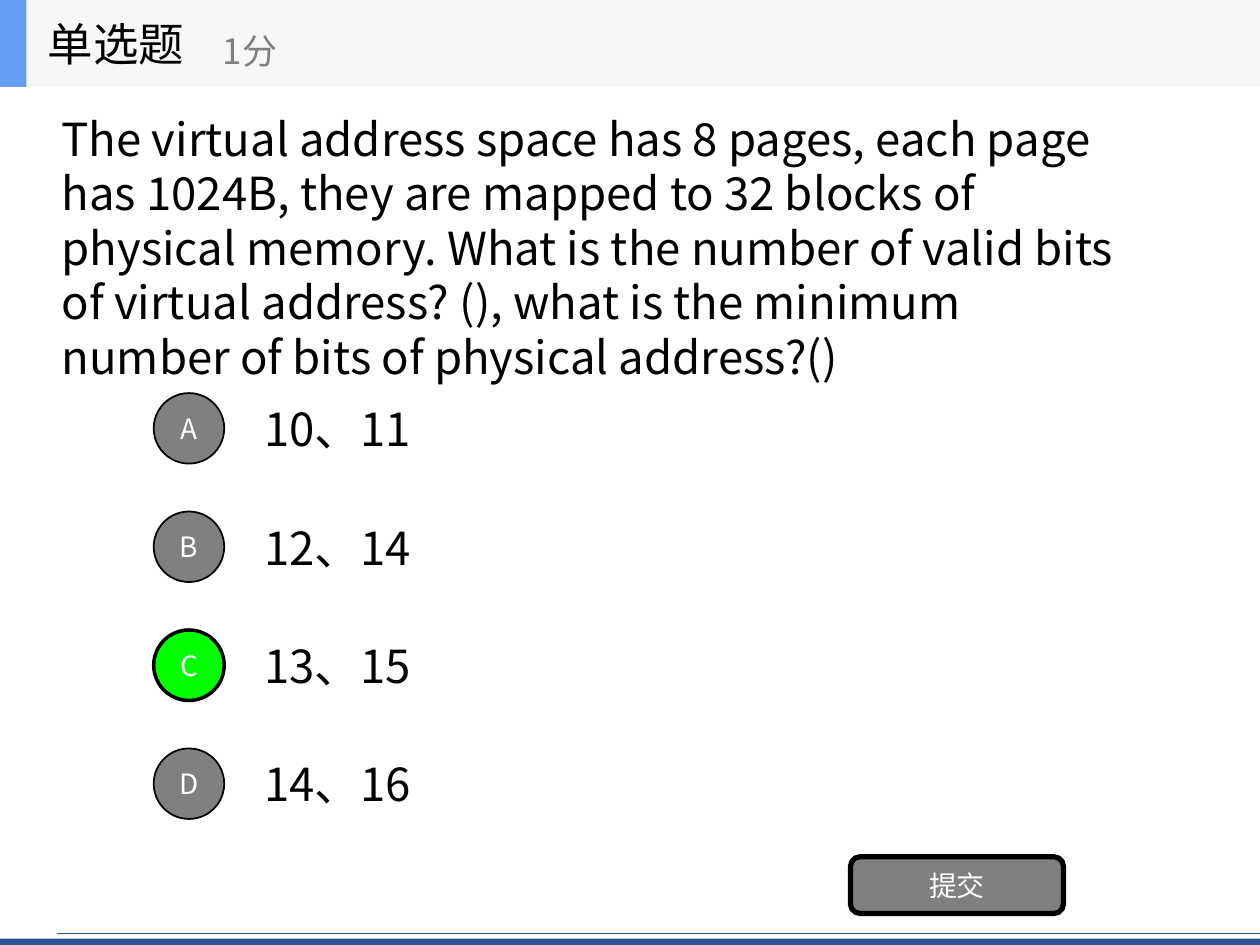
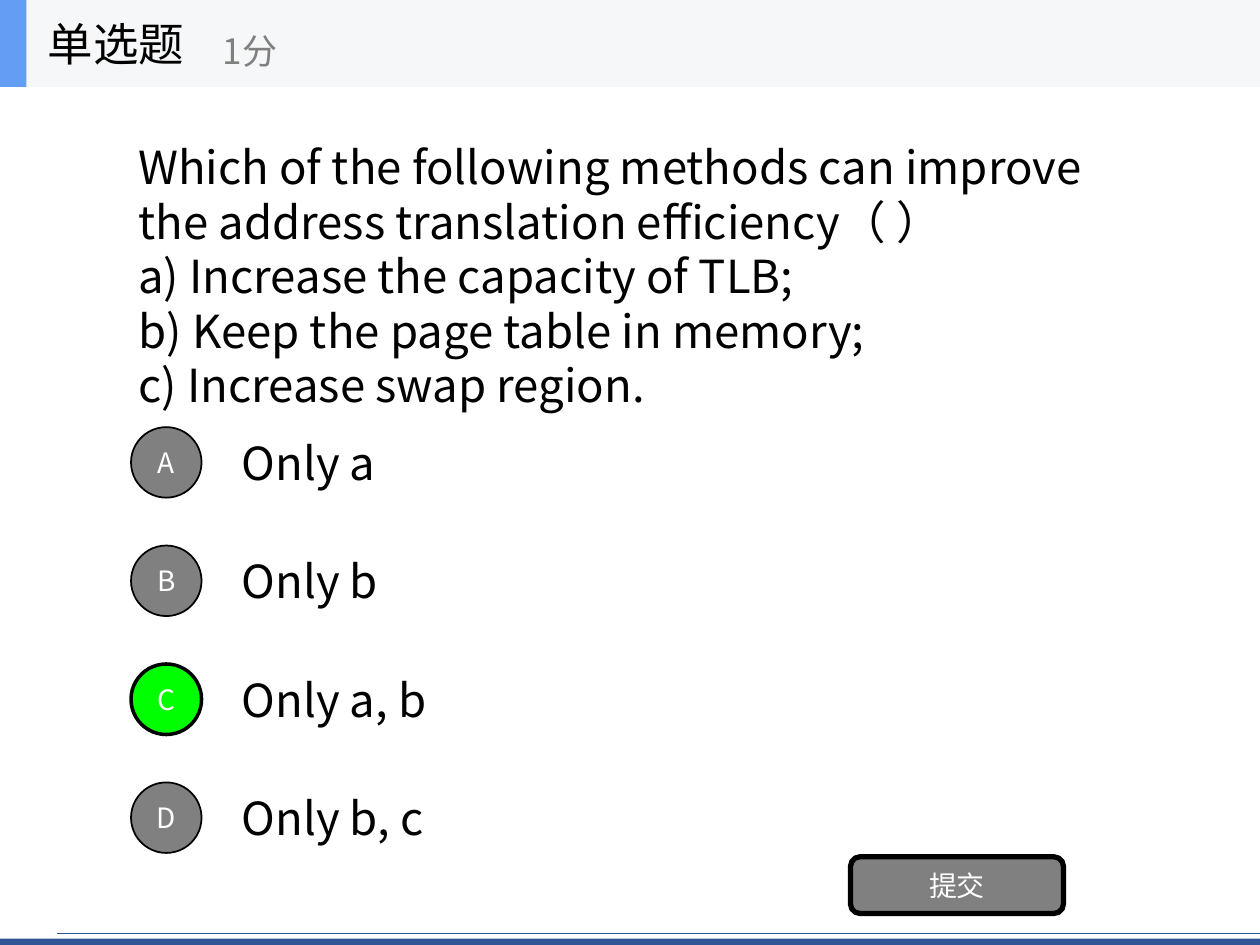
from dataclasses import dataclass

from lxml.etree import SubElement
from pptx import Presentation
from pptx.dml.color import RGBColor
from pptx.enum.shapes import MSO_CONNECTOR, MSO_SHAPE
from pptx.enum.text import MSO_ANCHOR, PP_ALIGN
from pptx.oxml.ns import qn
from pptx.util import Pt

PX = 9144  # EMU in one px, 100 px to the inch


@dataclass(frozen=True)
class Theme:
    font: str = "Noto Sans CJK SC"
    black: RGBColor = RGBColor(0x00, 0x00, 0x00)
    white: RGBColor = RGBColor(0xFF, 0xFF, 0xFF)
    grey: RGBColor = RGBColor(0x80, 0x80, 0x80)
    green: RGBColor = RGBColor(0x00, 0xFF, 0x00)
    navy: RGBColor = RGBColor(0x2F, 0x55, 0x97)
    blue: RGBColor = RGBColor(0x63, 0x9E, 0xF4)
    band: RGBColor = RGBColor(0xF6, 0xF7, 0xF8)
    body_size: int = 26
    score_size: int = 20
    button_size: int = 16


THEME = Theme()


def add_panel(shapes, kind, box, fill, outline=0):
    """Add a filled preset shape; outline is the black line's width in points."""
    shape = shapes.add_shape(kind, *(length * PX for length in box))
    shape.shadow.inherit = False
    shape.fill.solid()
    shape.fill.fore_color.rgb = fill
    if outline:
        shape.line.color.rgb = THEME.black
        shape.line.width = Pt(outline)
    else:
        shape.line.fill.background()
    return shape


def write_text(shape, lines, size, color, alignment=PP_ALIGN.LEFT):
    frame = shape.text_frame
    frame.word_wrap = True
    frame.vertical_anchor = MSO_ANCHOR.MIDDLE
    frame.text = "\n".join(lines)
    for paragraph in frame.paragraphs:
        paragraph.alignment = alignment
        paragraph.font.size = Pt(size)
        paragraph.font.color.rgb = color
        paragraph.font.name = THEME.font
        properties = paragraph._p.pPr.find(qn("a:defRPr"))
        SubElement(properties, qn("a:ea")).set("typeface", THEME.font)


QUESTIONS = [
    {
        "lines": [
            "The virtual address space has 8 pages, each page has 1024B, "
            "they are mapped to 32 blocks of physical memory. What is the "
            "number of valid bits of virtual address? (), what is the "
            "minimum number of bits of physical address?()"
        ],
        "box": (39, 79, 872, 234),
        "options": ["10、11", "12、14", "13、15", "14、16"],
        "answer": "C",
        "options_left": 122,
        "options_top": 312,
    },
    {
        "lines": [
            "Which of the following methods can improve the address "
            "translation efficiency（ ）",
            "a) Increase the capacity of TLB;",
            "b) Keep the page table in memory;",
            "c) Increase swap region.",
        ],
        "box": (100, 69, 800, 299),
        "options": ["Only a", "Only b", "Only a, b", "Only b, c"],
        "answer": "C",
        "options_left": 104,
        "options_top": 339,
    },
]
SLIDE_WIDTH, SLIDE_HEIGHT = 1000, 750
HEADER_HEIGHT = 69
OPTION_PITCH = 94
CIRCLE = 56
OPTION_TEXT_SHIFT = 78
OPTION_TEXT_HEIGHT = 70

presentation = Presentation()
presentation.slide_width = SLIDE_WIDTH * PX
presentation.slide_height = SLIDE_HEIGHT * PX
blank_layout = presentation.slide_layouts[6]

for question in QUESTIONS:
    slide = presentation.slides.add_slide(blank_layout)
    shapes = slide.shapes

    # Footer
    add_panel(shapes, MSO_SHAPE.RECTANGLE,
              (0, SLIDE_HEIGHT - 5, SLIDE_WIDTH, 5), THEME.navy)
    footer_rule = shapes.add_connector(
        MSO_CONNECTOR.STRAIGHT, 45 * PX, 741 * PX, SLIDE_WIDTH * PX, 741 * PX)
    footer_rule.line.color.rgb = THEME.navy
    footer_rule.line.width = Pt(0.5)
    SubElement(footer_rule._element.spPr, qn("a:effectLst"))

    # Question
    question_box = shapes.add_textbox(*(length * PX for length in question["box"]))
    write_text(question_box, question["lines"], THEME.body_size, THEME.black)

    # Options
    left = question["options_left"]
    for index, (letter, option) in enumerate(zip("ABCD", question["options"])):
        top = question["options_top"] + index * OPTION_PITCH
        text_top = top - (OPTION_TEXT_HEIGHT - CIRCLE) // 2
        option_box = shapes.add_textbox(
            (left + OPTION_TEXT_SHIFT) * PX, text_top * PX,
            700 * PX, OPTION_TEXT_HEIGHT * PX)
        write_text(option_box, [option], THEME.body_size, THEME.black)

        correct = letter == question["answer"]
        circle = add_panel(shapes, MSO_SHAPE.OVAL, (left, top, CIRCLE, CIRCLE),
                           THEME.green if correct else THEME.grey,
                           outline=2 if correct else 1)
        write_text(circle, [letter], THEME.button_size, THEME.white, PP_ALIGN.CENTER)

    # Submit button
    submit_button = add_panel(shapes, MSO_SHAPE.ROUNDED_RECTANGLE,
                              (675, 680, 169, 45), THEME.grey, outline=3)
    write_text(submit_button, ["提交"], THEME.button_size, THEME.white, PP_ALIGN.CENTER)

    # Header
    header = shapes.add_group_shape().shapes
    add_panel(header, MSO_SHAPE.RECTANGLE,
              (0, 0, SLIDE_WIDTH, HEADER_HEIGHT), THEME.band)
    add_panel(header, MSO_SHAPE.RECTANGLE, (0, 0, 21, HEADER_HEIGHT), THEME.blue)
    title = header.add_textbox(28 * PX, 0, 208 * PX, HEADER_HEIGHT * PX)
    write_text(title, ["单选题"], THEME.body_size, THEME.black)
    score = header.add_textbox(167 * PX, 12 * PX, 250 * PX, 56 * PX)
    write_text(score, ["1分"], THEME.score_size, THEME.grey)

presentation.save("out.pptx")
